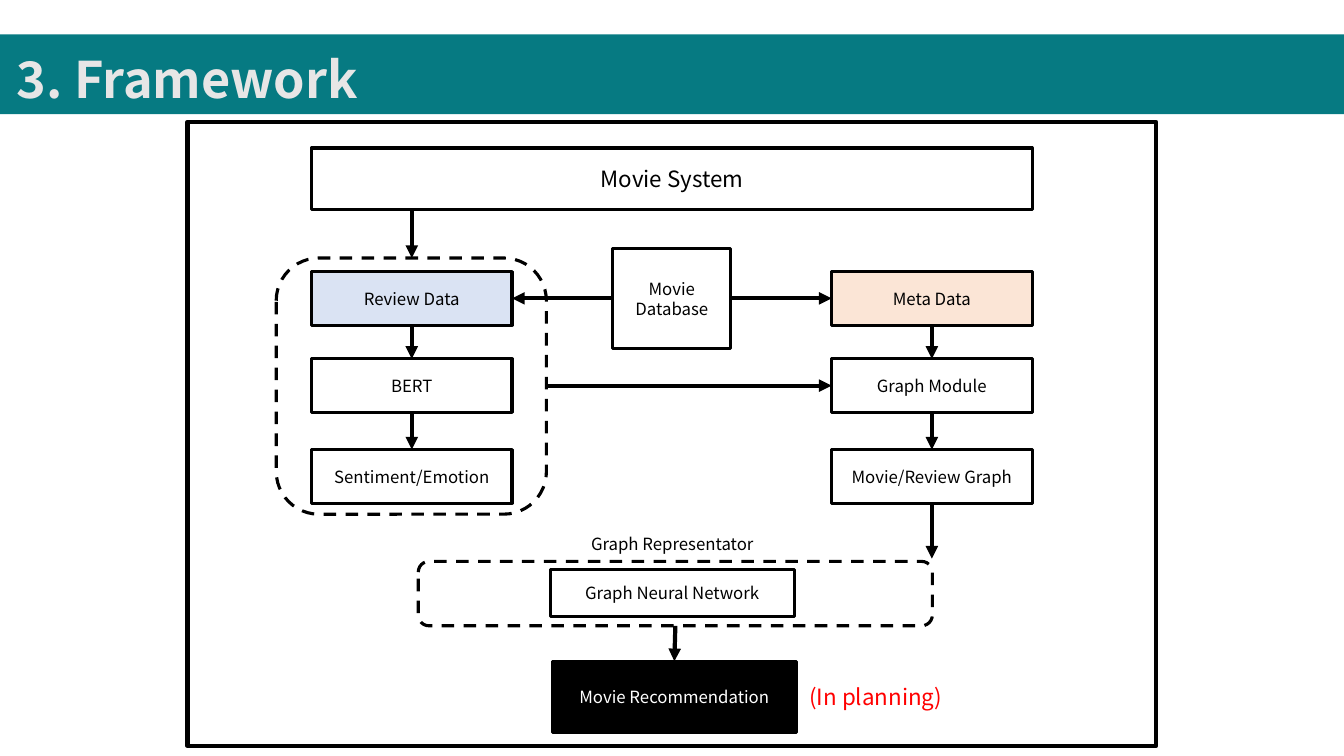
from lxml.etree import SubElement
from pptx import Presentation
from pptx.dml.color import RGBColor
from pptx.enum.dml import MSO_LINE
from pptx.enum.shapes import MSO_CONNECTOR, MSO_SHAPE
from pptx.enum.text import MSO_ANCHOR, PP_ALIGN
from pptx.oxml.ns import qn
from pptx.util import Pt

FONT = "Noto Sans CJK KR"


def color(code):
    return RGBColor.from_string(code)


class Board:
    """Draws in one style on one slide; all lengths are points."""

    def __init__(self, slide):
        self.shapes = slide.shapes
        self.ink = "000000"
        self.thin, self.thick = 2.25, 3

    def letter(self, shape, text, size=12, ink=None, **style):
        """Put one formatted paragraph into a shape."""
        frame = shape.text_frame
        frame.word_wrap = True
        frame.vertical_anchor = MSO_ANCHOR.MIDDLE
        para = frame.paragraphs[0]
        form = {"alignment": PP_ALIGN.CENTER} | style
        for name, value in form.items():
            setattr(para, name, value)
        run = para.add_run()
        run.text = text
        font = {"name": FONT, "size": Pt(size), "bold": size > 30}
        for name, value in font.items():
            setattr(run.font, name, value)
        run.font.color.rgb = color(ink or self.ink)

    def box(self, area, text="", fill=None, edge=None, dash=False, **style):
        """Draw a box; a dashed one is rounded, and edge 0 means no line."""
        kind = MSO_SHAPE.ROUNDED_RECTANGLE if dash else MSO_SHAPE.RECTANGLE
        shape = self.shapes.add_shape(kind, *map(Pt, area))
        shape.shadow.inherit = False
        if fill:
            shape.fill.solid()
            shape.fill.fore_color.rgb = color(fill)
        else:
            shape.fill.background()
        if edge == 0:
            shape.line.fill.background()
        else:
            shape.line.color.rgb = color(self.ink)
            shape.line.width = Pt(edge or self.thin)
        if dash:
            shape.line.dash_style = MSO_LINE.DASH
        if text:
            self.letter(shape, text, **style)

    def label(self, area, text, **style):
        self.letter(self.shapes.add_textbox(*map(Pt, area)), text, **style)

    def arrow(self, *ends):
        """Draw an arrow from x, y to x, y."""
        link = self.shapes.add_connector(MSO_CONNECTOR.STRAIGHT, *map(Pt, ends))
        link.line.color.rgb = color(self.ink)
        link.line.width = Pt(self.thick)
        props = link._element.spPr
        SubElement(props.find(qn("a:ln")), qn("a:tailEnd"), type="triangle")
        SubElement(props, qn("a:effectLst"))


deck = Presentation()
deck.slide_width, deck.slide_height = Pt(960), Pt(540)
board = Board(deck.slides.add_slide(deck.slide_layouts[6]))

# Title banner and frame
board.box((0, 24.5, 960, 57), fill="067A82", edge=0)
board.label((5, 12.2, 955, 66.2), "3. Framework", size=36, ink="E7E6E6",
            alignment=PP_ALIGN.LEFT, line_spacing=1.5)
board.box((133.9, 87.1, 692, 445.7), edge=board.thick)

# Movie system and the two columns of steps
LEFT, RIGHT, WIDE, HIGH = 222.5, 594, 143.3, 38.3
ROWS = (194, 256.3, 321.1)
STEPS = (
    (LEFT, "DAE3F3", ("Review Data", "BERT", "Sentiment/Emotion")),
    (RIGHT, "FBE5D6", ("Meta Data", "Graph Module", "Movie/Review Graph")),
)
board.box((LEFT, 105.8, RIGHT + WIDE - LEFT, 44), "Movie System", size=16)
for x, tint, names in STEPS:
    for y, name in zip(ROWS, names):
        board.box((x, y, WIDE, HIGH), name, fill=tint if y == ROWS[0] else None)
    mid = x + WIDE / 2
    for y, below in zip(ROWS, ROWS[1:]):
        board.arrow(mid, y + HIGH, mid, below)

# Review group and movie database
board.box((197.3, 184.3, 193, 183), dash=True)
board.arrow(LEFT + WIDE / 2, 149.8, LEFT + WIDE / 2, 184.3)
board.box((437.8, 177.8, 84.2, 71.3), "Movie Database")
level = ROWS[0] + HIGH / 2
board.arrow(437.8, level, LEFT + WIDE, level)
board.arrow(522, level, RIGHT, level)
level = ROWS[1] + HIGH / 2
board.arrow(390.3, level, RIGHT, level)

# Graph representator and recommendation
board.arrow(RIGHT + WIDE / 2, ROWS[2] + HIGH, RIGHT + WIDE / 2, 399)
board.label((388.8, 378.7, 183, 19.4), "Graph Representator")
board.box((298.8, 401, 367.2, 46), dash=True)
board.box((393.1, 406.8, 174.2, 33.8), "Graph Neural Network")
board.arrow(482.4, 447, 481.7, 472.3)
board.box((394.6, 472.3, 174.2, 51.1), "Movie Recommendation",
          fill=board.ink, ink="FFFFFF")
board.label((568.1, 484.6, 115.2, 26.6), "(In planning)", size=16, ink="FF0000")

deck.save("out.pptx")
